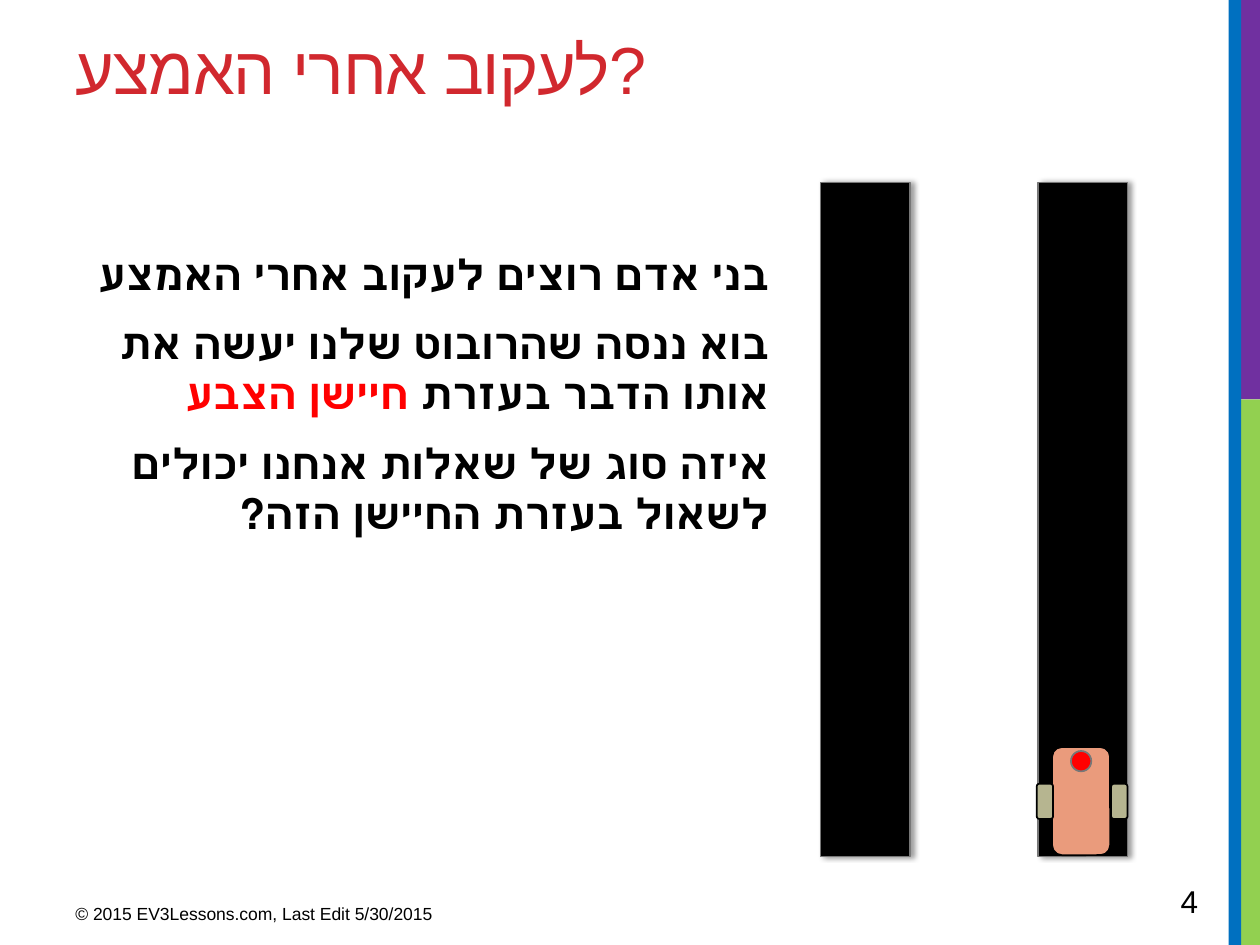
from pptx import Presentation
from pptx import util as u
from pptx.dml.color import RGBColor
from pptx.enum import shapes, text
from pptx.oxml.ns import qn
from lxml import etree

BLACK = RGBColor(0x00, 0x00, 0x00)
RED = RGBColor(0xFF, 0x00, 0x00)
TITLE_RED = RGBColor(0xD1, 0x28, 0x2E)
GREEN = RGBColor(0x92, 0xD0, 0x50)
PURPLE = RGBColor(0x70, 0x30, 0xA0)
BLUE = RGBColor(0x00, 0x70, 0xC0)
GREY = RGBColor(0x77, 0x77, 0x77)
CHASSIS = RGBColor(0xEA, 0x9B, 0x7C)
WHEEL = RGBColor(0xB6, 0xB5, 0x90)

RECT = shapes.MSO_SHAPE.RECTANGLE
ROUNDED = shapes.MSO_SHAPE.ROUNDED_RECTANGLE
OVAL = shapes.MSO_SHAPE.OVAL

BODY = [
    [("בני אדם רוצים לעקוב אחרי האמצע", BLACK)],
    [("בוא ננסה שהרובוט שלנו יעשה את אותו הדבר בעזרת ", BLACK), ("חיישן הצבע", RED)],
    [("איזה סוג של שאלות אנחנו יכולים לשאול בעזרת החיישן הזה?", BLACK)],
]


def apply_format(target, values):
    for name, value in values.items():
        setattr(target, name, value)


def add_block(parent, kind, place, fill, outline=None):
    block = parent.shapes.add_shape(kind, *map(u.Cm, place))
    block.shadow.inherit = False
    block.fill.solid()
    block.fill.fore_color.rgb = fill
    if outline is None:
        block.line.fill.background()
    else:
        block.line.color.rgb = outline
        block.line.width = u.Pt(1)
    return block


def add_frame(slide, place, anchor=text.MSO_ANCHOR.TOP):
    frame = slide.shapes.add_textbox(*map(u.Cm, place)).text_frame
    apply_format(frame, {"word_wrap": True, "vertical_anchor": anchor})
    return frame


def add_words(paragraph, words, size, color, bold=False):
    run = paragraph.add_run()
    run.text = words
    apply_format(run.font, {"name": "Arial", "size": u.Pt(size), "bold": bold})
    run.font.color.rgb = color
    return run


def add_title(slide):
    frame = add_frame(slide, (1.27, 0.43, 22.91, 3.81))
    title = add_words(frame.paragraphs[0], "לעקוב אחרי האמצע?", 38, TITLE_RED)
    properties = title.font._element
    properties.set("spc", "-60")
    etree.SubElement(properties, qn("a:cs")).set("typeface", "Arial")


def add_body(slide):
    frame = add_frame(slide, (1.27, 4.88, 14.48, 12.14))
    for index, parts in enumerate(BODY):
        paragraph = frame.add_paragraph() if index else frame.paragraphs[0]
        apply_format(paragraph, {
            "alignment": text.PP_ALIGN.RIGHT,
            "space_before": u.Pt(4.8 if index else 0),
            "space_after": u.Pt(6),
        })
        paragraph._p.get_or_add_pPr().set("rtl", "1")
        for words, color in parts:
            add_words(paragraph, words, 24, color, bold=True)


def add_note(slide, place, words, size):
    frame = add_frame(slide, place, text.MSO_ANCHOR.MIDDLE)
    add_words(frame.paragraphs[0], words, size, BLACK)


def add_lane(slide, left):
    lane = add_block(slide, RECT, (left, 3.68, 1.8, 13.59), BLACK, GREY)
    effects = lane._element.spPr.find(qn("a:effectLst"))
    shadow = etree.SubElement(effects, qn("a:outerShdw"))
    distances = {"blurRad": u.Pt(3.1), "dist": u.Pt(1.8), "dir": 0}
    for name, value in distances.items():
        shadow.set(name, str(int(value)))
    shade = etree.SubElement(shadow, qn("a:srgbClr"), val=str(BLACK))
    etree.SubElement(shade, qn("a:alpha"), val="40000")


def add_robot(slide):
    robot = slide.shapes.add_group_shape()
    add_block(robot, ROUNDED, (21.21, 15.06, 1.17, 2.18), CHASSIS, BLACK)
    for left in (22.4, 20.9):
        add_block(robot, ROUNDED, (left, 15.8, 0.33, 0.71), WHEEL, BLACK)
    add_block(robot, OVAL, (21.59, 15.14, 0.41, 0.41), RED, GREY)


def main():
    deck = Presentation()
    apply_format(deck, {"slide_width": u.Cm(25.4), "slide_height": u.Cm(19.05)})
    slide = deck.slides.add_slide(deck.slide_layouts[6])

    add_block(slide, RECT, (24.99, 8.05, 0.41, 11), GREEN)
    add_block(slide, RECT, (24.89, 0, 0.51, 8.05), PURPLE)
    add_block(slide, RECT, (24.77, 0, 0.25, 19.05), BLUE)
    add_title(slide)
    add_body(slide)
    add_note(slide, (1.27, 18.03, 9.53, 0.79),
             "© 2015 EV3Lessons.com, Last Edit 5/30/2015", 10)
    add_note(slide, (23.55, 17.65, 1.85, 1.02), "4", 18)
    for left in (16.54, 20.93):
        add_lane(slide, left)
    add_robot(slide)

    deck.save("out.pptx")


if __name__ == "__main__":
    main()
